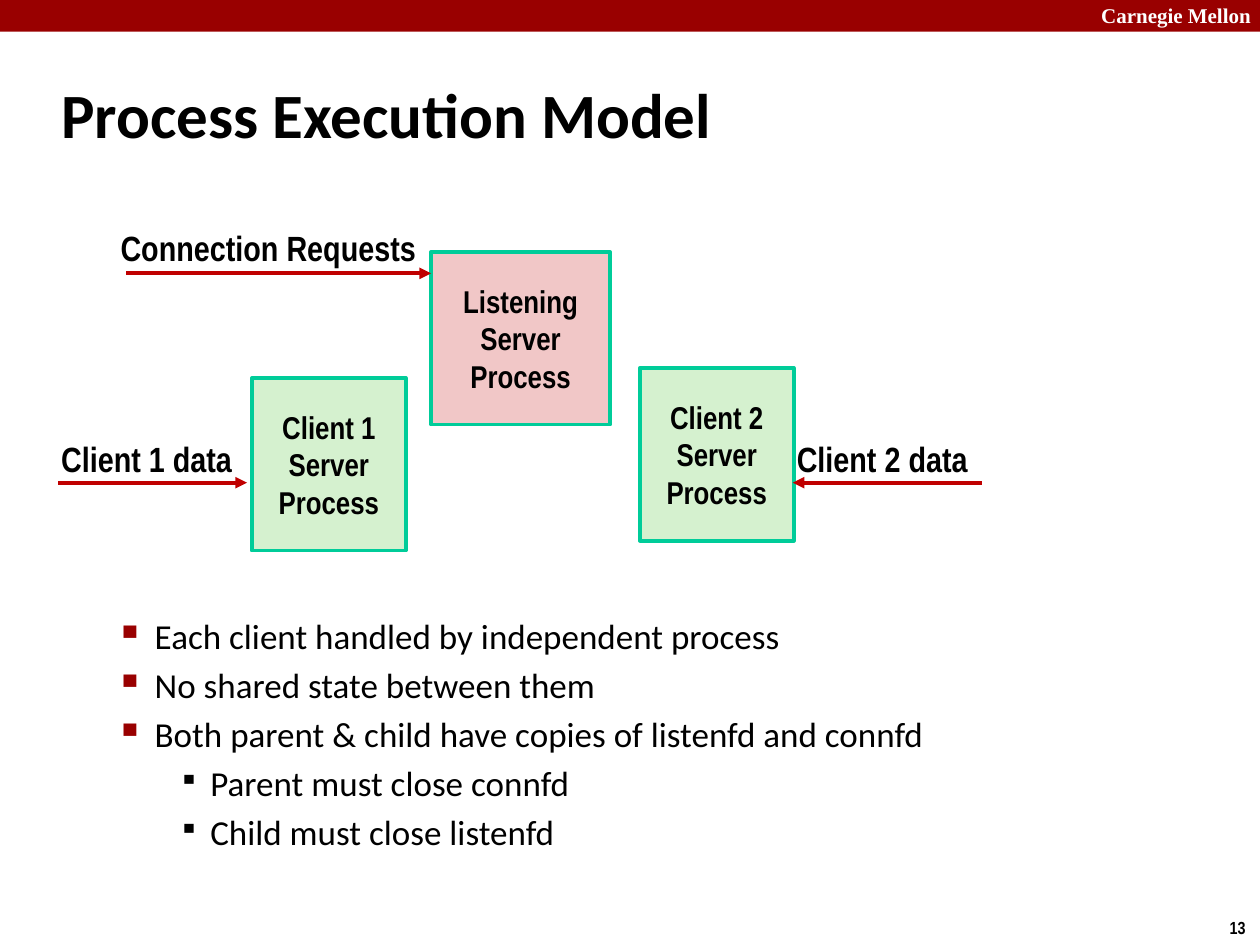
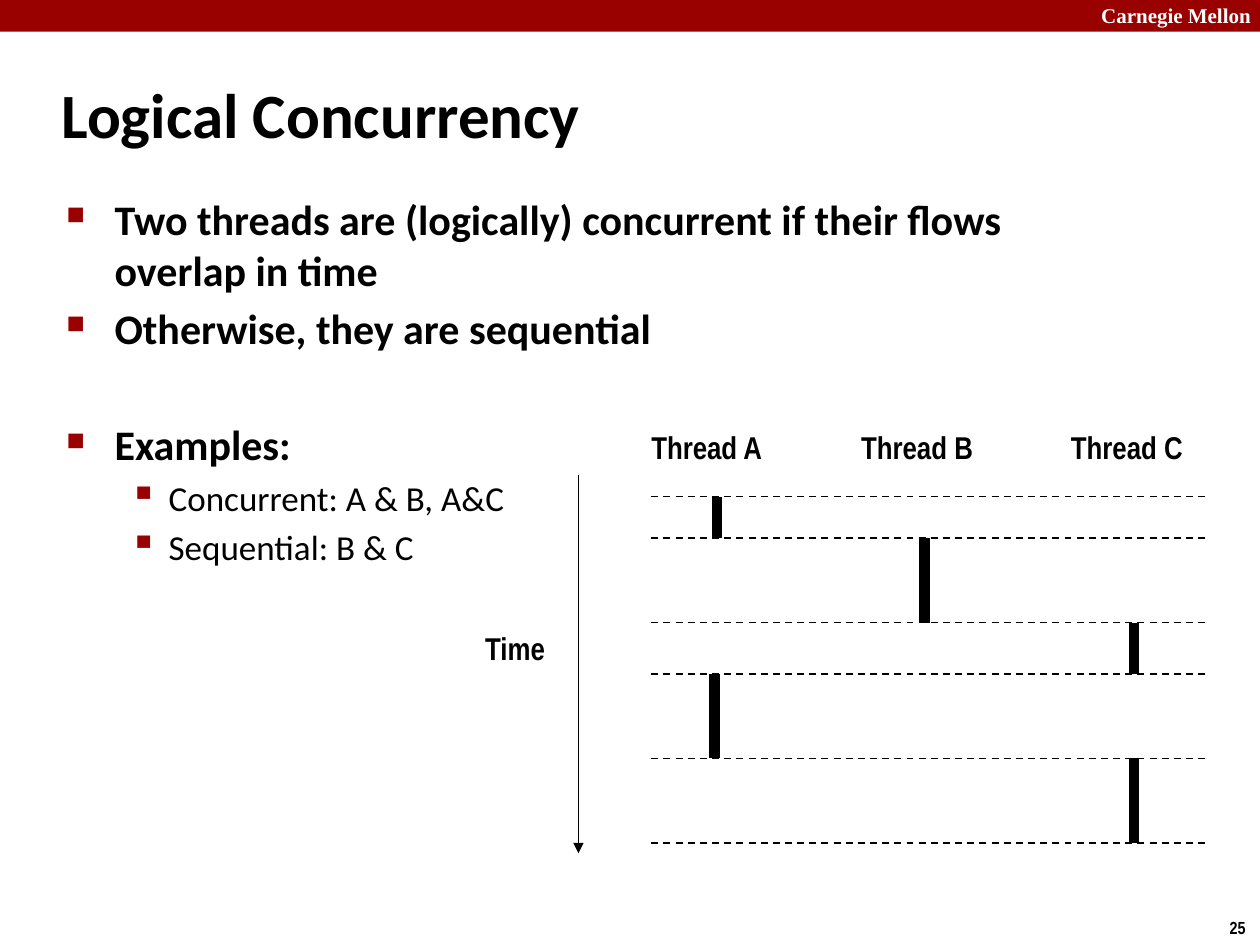
from itertools import pairwise

from lxml import etree
from pptx import Presentation
from pptx.dml.color import RGBColor
from pptx.enum.dml import MSO_LINE
from pptx.enum.shapes import MSO_CONNECTOR, MSO_SHAPE
from pptx.enum.text import MSO_ANCHOR, PP_ALIGN
from pptx.oxml.ns import qn
from pptx.util import Cm, Pt

STRAIGHT = MSO_CONNECTOR.STRAIGHT
RECTANGLE = MSO_SHAPE.RECTANGLE
DASH = MSO_LINE.DASH
MIDDLE = MSO_ANCHOR.MIDDLE
LEFT, CENTER, RIGHT = PP_ALIGN.LEFT, PP_ALIGN.CENTER, PP_ALIGN.RIGHT

BAND_RED = RGBColor(0x99, 0x00, 0x00)
ARROW_RED = RGBColor(0xC0, 0x00, 0x00)
BOX_EDGE = RGBColor(0x00, 0xCC, 0x99)
CLIENT_GREEN = RGBColor(0xD5, 0xF1, 0xCF)
LISTENER_PINK = RGBColor(0xF1, 0xC7, 0xC7)
BLACK = RGBColor(0, 0, 0)
WHITE = RGBColor(0xFF, 0xFF, 0xFF)

HEADING_FONT = "Calibri"
LABEL_FONT = "Arial Narrow"
BAND_FONT = "Times New Roman"

# style: size, bold, indent, hanging, bullet, bullet colour, bullet percent
BULLETS = {
    "main": (24, True, 0.97, 0.97, "■", BAND_RED, 60),
    "sub": (20, False, 2.06, 0.79, "▪", BAND_RED, 110),
    "detail": (20, False, 3.18, 0.64, "▪", BLACK, 80),
}


def write(page, place, text, size, font=LABEL_FONT, color=BLACK, align=LEFT):
    box = page.shapes.add_textbox(*map(Cm, place))
    box.text_frame.word_wrap = False
    para = box.text_frame.paragraphs[0]
    para.text = text
    para.alignment = align
    para.font.name, para.font.size = font, Pt(size)
    para.font.bold, para.font.color.rgb = True, color
    return box


def draw_line(page, start, end, color, width, arrow=False):
    line = page.shapes.add_connector(STRAIGHT, *map(Cm, start + end))
    line.line.color.rgb = color
    line.line.width = Pt(width)
    properties = line._element.spPr
    if arrow:
        etree.SubElement(properties.find(qn("a:ln")), qn("a:tailEnd"), type="triangle")
    etree.SubElement(properties, qn("a:effectLst"))
    return line


deck = Presentation()
deck.slide_width, deck.slide_height = Cm(25.4), Cm(19.05)

slides = [
    ("Process Execution Model", "13", (0.81, 12.27, 23.09, 5.64), [
        ("sub", "Each client handled by independent process", 0),
        ("sub", "No shared state between them", 4),
        ("sub", "Both parent & child have copies of listenfd and connfd", 4),
        ("detail", "Parent must close connfd", 4),
        ("detail", "Child must close listenfd", 4),
    ]),
    ("Logical Concurrency", "25", (1.09, 3.78, 21.95, 13.82), [
        ("main", "Two threads are (logically) concurrent if their flows overlap in time", 0),
        ("main", "Otherwise, they are sequential", 4.8),
        ("main", "Examples:", 37.5),
        ("sub", "Concurrent: A & B, A&C", 4),
        ("sub", "Sequential: B & C", 4),
    ]),
]

pages = []
for title, number, place, points in slides:
    page = deck.slides.add_slide(deck.slide_layouts[6])
    pages.append(page)
    band = page.shapes.add_shape(RECTANGLE, 0, 0, deck.slide_width, Cm(0.64))
    band.shadow.inherit = False
    band.fill.solid()
    band.fill.fore_color.rgb = BAND_RED
    band.line.fill.background()
    write(page, (21.95, -0.08, 3.63, 0.76), "Carnegie Mellon", 12, BAND_FONT, WHITE)
    write(page, (24.54, 18.36, 0.86, 0.69), number, 10)
    heading = write(page, (0.99, 1.22, 21.08, 2.11), title, 36, HEADING_FONT)
    heading.text_frame.vertical_anchor = MIDDLE

    body = page.shapes.add_textbox(*map(Cm, place)).text_frame
    body.word_wrap = True
    for index, (style, text, gap) in enumerate(points):
        size, bold, indent, hanging, mark, color, percent = BULLETS[style]
        para = body.add_paragraph() if index else body.paragraphs[0]
        para.text = text
        layout = para._p.get_or_add_pPr()
        layout.set("marL", str(Cm(indent)))
        layout.set("indent", str(-Cm(hanging)))
        bullet_color = etree.SubElement(layout, qn("a:buClr"))
        etree.SubElement(bullet_color, qn("a:srgbClr"), val=str(color))
        etree.SubElement(layout, qn("a:buSzPct"), val=str(percent * 1000))
        etree.SubElement(layout, qn("a:buChar"), char=mark)
        if gap:
            para.space_before = Pt(gap)
        para.font.name, para.font.size = HEADING_FONT, Pt(size)
        para.font.bold, para.font.color.rgb = bold, BLACK

process_page, thread_page = pages

servers = [
    ("Client 1", 5.08, 7.62, 3.1, CLIENT_GREEN),
    ("Client 2", 12.9, 7.42, 3.1, CLIENT_GREEN),
    ("Listening", 8.69, 5.08, 3.61, LISTENER_PINK),
]
for role, left, top, width, color in servers:
    server = process_page.shapes.add_shape(RECTANGLE, Cm(left), Cm(top), Cm(width), Cm(3.48))
    server.shadow.inherit = False
    server.fill.solid()
    server.fill.fore_color.rgb = color
    server.line.color.rgb = BOX_EDGE
    server.line.width = Pt(2.25)
    frame = server.text_frame
    frame.word_wrap = False
    frame.vertical_anchor = MIDDLE
    frame.text = f"{role}\nServer\nProcess"
    for para in frame.paragraphs:
        para.alignment = CENTER
        para.font.name, para.font.size = LABEL_FONT, Pt(18)
        para.font.bold, para.font.color.rgb = True, BLACK

messages = [
    ("Connection Requests", 2.11, 4.45, 6.53, 2.54, 8.69, 5.51),
    ("Client 1 data", 0.94, 8.69, 3.99, 1.17, 4.98, 9.73),
    ("Client 2 data", 15.77, 8.69, 3.99, 19.79, 15.98, 9.73),
]
for text, left, top, width, start, end, height in messages:
    draw_line(process_page, (start, height), (end, height), ARROW_RED, 2.25, arrow=True)
    write(process_page, (left, top, width, 1.12), text, 20, align=RIGHT)

draw_line(thread_page, (11.66, 9.58), (11.66, 17.2), BLACK, 1, arrow=True)
write(thread_page, (9.53, 12.55, 1.73, 1.02), "Time", 18)
for column, thread in enumerate("ABC"):
    write(thread_page, (12.88 + 4.23 * column, 8.51, 2.79, 1.02), f"Thread {thread}", 18)

switch_times = [10.01, 10.85, 12.55, 13.59, 15.29, 17]
running_columns = [14.45, 18.64, 22.86, 14.4, 22.86]
for column, (start, end) in zip(running_columns, pairwise(switch_times)):
    draw_line(thread_page, (column, start), (column, end), BLACK, 6)
for moment in switch_times:
    divider = draw_line(thread_page, (13.13, moment), (24.36, moment), BLACK, 1)
    divider.line.dash_style = DASH

deck.save("out.pptx")
